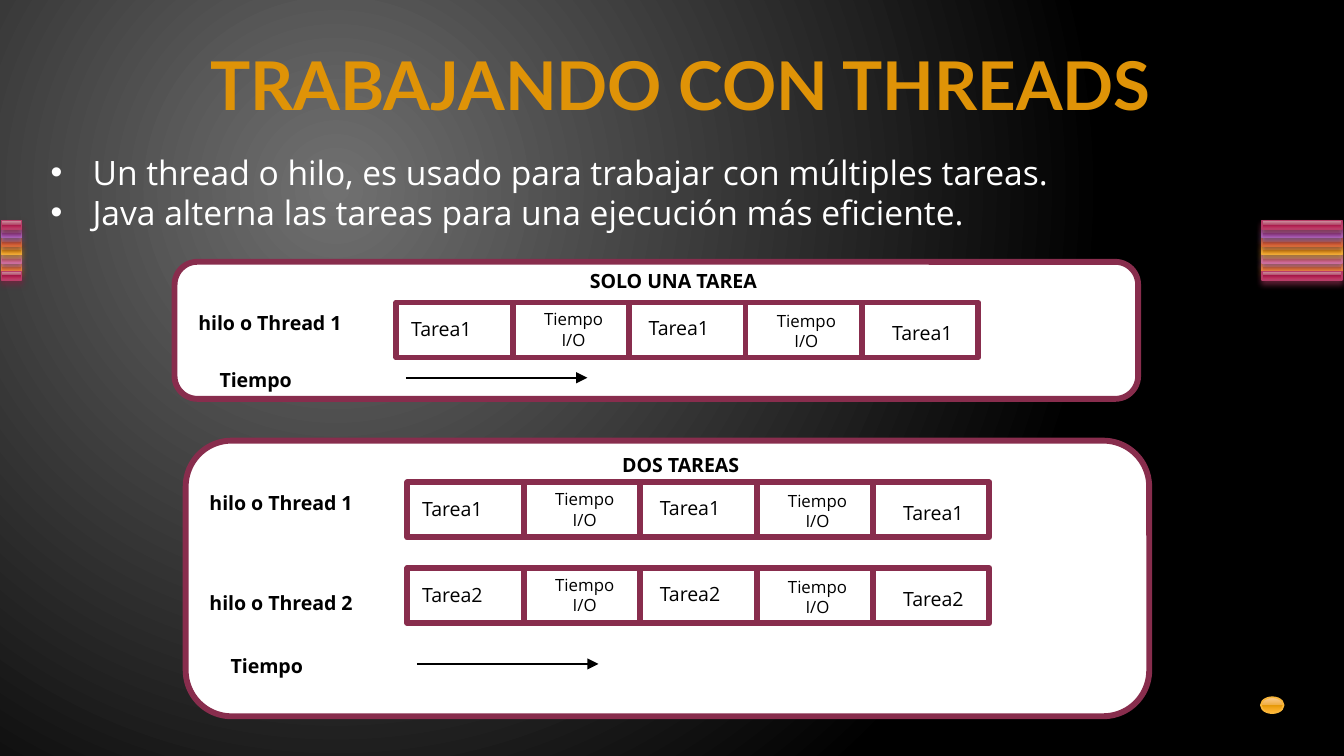
import dataclasses

import pptx
import pptx.dml.color
import pptx.enum.shapes
import pptx.enum.text
import pptx.oxml
import pptx.oxml.ns
import pptx.util

Cm = pptx.util.Cm
Pt = pptx.util.Pt
RGB = pptx.dml.color.RGBColor.from_string
qn = pptx.oxml.ns.qn
SHAPE = pptx.enum.shapes.MSO_SHAPE
CENTER = pptx.enum.text.PP_ALIGN.CENTER
A_NS = 'xmlns:a="http://schemas.openxmlformats.org/drawingml/2006/main"'


@dataclasses.dataclass(frozen=True)
class Theme:
    """Colours, fonts and type sizes of the slide."""
    white: str = "FFFFFF"
    black: str = "000000"
    glow: str = "707070"
    border: str = "882D4D"
    title: str = "DF9307"
    title_font: str = "Lato"
    font: str = "Open Sans"
    title_size: float = 36
    body_size: float = 18
    label_size: float = 10.5
    small_size: float = 9
    border_width: float = 3.15
    thin_width: float = 0.9


T = Theme()
POSITIONS = (0, 49, 49, 92, 100)
# Name: (gradient colours, line, shadow)
GLOSSY = {
    "crimson": ("CE94A2 B34869 A61749 C13764 CA5D7C", "B83D68", "722640"),
    "purple": ("C6A2D0 A666B4 8F3EA1 AD5DBF BA76CA", "AC66BB", "6A3F73"),
    "rust": ("E7A493 D66B42 CC4809 E9642C F07B55", "DE6C36", "894321"),
    "amber": ("FBCC93 EFAE43 E59807 FFB432 FFBE5F", "F9B639", "9A7023"),
    "pink": ("DDA4C1 C66B9D B34181 D361A0 DC79AE", "CF6DA4", "804365"),
    "orange": ("FBB494 F08745 E5670B FF8736 FF9961", "FA8D3D", "9A5726"),
}
STRIPES = ("crimson", "purple", "rust", "amber", "pink", "orange", "crimson")
CELL_W, CELL_H = 2.2, 1.04
# Offsets of the cell captions from the row's corner
TASK_OFFSETS = ((0.03, 0.15), (4.52, 0.13), (9.12, 0.23))
WAIT_OFFSETS = ((2.41, 0), (6.81, 0.03))


def add_xml(parent, xml):
    """Append an XML element in the drawing namespace."""
    parent.append(pptx.oxml.parse_xml(xml.replace("/>", f" {A_NS}/>", 1)
                                      if xml.count("<") == 1
                                      else xml.replace(">", f" {A_NS}>", 1)))


def set_gradient(fill, parent, stops, direction):
    """Give a fill its gradient stops and its direction."""
    fill.gradient()
    items = "".join(f'<a:gs pos="{pos * 1000}"><a:srgbClr val="{color}"/></a:gs>'
                    for pos, color in stops)
    xml = f"<a:gradFill {A_NS}><a:gsLst>{items}</a:gsLst>{direction}</a:gradFill>"
    parent.replace(parent.find(qn("a:gradFill")), pptx.oxml.parse_xml(xml))


def set_background(s):
    """Paint the dark background with its soft glow."""
    fill = s.background.fill
    fill.solid()
    bg = s._element.cSld.find(".//" + qn("p:bgPr"))
    set_gradient(fill, bg, ((0, T.glow), (100, T.black)),
                 '<a:path path="circle"><a:fillToRect l="50000" t="50000" '
                 'r="100000" b="100000"/></a:path>')


def add_box(s, kind, x, y, w, h, line=T.border, width=T.border_width):
    """Add a white shape with a coloured outline."""
    sp = s.shapes.add_shape(kind, Cm(x), Cm(y), Cm(w), Cm(h))
    sp.shadow.inherit = False
    sp.fill.solid()
    sp.fill.fore_color.rgb = RGB(T.white)
    sp.line.color.rgb = RGB(line)
    sp.line.width = Pt(width)
    return sp


def add_glossy(s, kind, x, y, w, h, name, shadow=True):
    """Add a glossy shape, with a shadow if wanted."""
    colors, line, shade = GLOSSY[name]
    sp = add_box(s, kind, x, y, w, h, line, T.thin_width)
    spPr = sp._element.spPr
    set_gradient(sp.fill, spPr, zip(POSITIONS, colors.split()),
                 '<a:lin ang="5400000" scaled="0"/>')
    if shadow:
        add_xml(spPr.find(qn("a:effectLst")),
                '<a:outerShdw blurRad="39370" dist="25400" dir="5400000" '
                f'rotWithShape="0"><a:srgbClr val="{shade}">'
                '<a:alpha val="83000"/></a:srgbClr></a:outerShdw>')


def add_stripes(s, x, w):
    """Add a stack of seven coloured stripes."""
    for i in (5, 4, 3, 2, 1, 0, 6):
        add_glossy(s, SHAPE.RECTANGLE, x, 4.17 + 0.16 * i, w, 0.16, STRIPES[i])


def add_text(s, lines, x, y, w, h, size=T.label_size, color=T.black,
             font=T.font, bold=False, align=None, bullet=False):
    """Add a wrapping text box with one paragraph per line."""
    tf = s.shapes.add_textbox(Cm(x), Cm(y), Cm(w), Cm(h)).text_frame
    tf.word_wrap = True
    look = {"name": font, "size": Pt(size), "bold": bold}
    for i, line in enumerate(lines):
        p = tf.paragraphs[0] if i == 0 else tf.add_paragraph()
        p.alignment = align
        r = p.add_run()
        r.text = line
        for key, value in look.items():
            setattr(r.font, key, value)
        r.font.color.rgb = RGB(color)
        if bullet:
            pPr = p._p.get_or_add_pPr()
            for key, value in {"marL": Cm(0.79), "indent": -Cm(0.79)}.items():
                pPr.set(key, str(value))
            add_xml(pPr, '<a:buFont typeface="Arial"/>')
            add_xml(pPr, '<a:buChar char="•"/>')


def add_arrow(s, x, y, length):
    """Add a thin horizontal arrow pointing right."""
    line = s.shapes.add_connector(pptx.enum.shapes.MSO_CONNECTOR.STRAIGHT,
                                  Cm(x), Cm(y), Cm(x + length), Cm(y))
    line.line.color.rgb = RGB(T.black)
    line.line.width = Pt(T.thin_width)
    add_xml(line.line._get_or_add_ln(), '<a:tailEnd type="triangle"/>')
    add_xml(line._element.spPr, "<a:effectLst/>")


def add_thread(s, number, panel_x, y, label_dy):
    """Add one thread: its label and five cells of work and waiting."""
    x = panel_x + 4.19
    for i in range(5):
        add_box(s, SHAPE.RECTANGLE, x + i * CELL_W, y, CELL_W, CELL_H)
    add_text(s, [f"hilo o Thread {number}"], panel_x + 0.2, y + label_dy,
             3.81, 0.71, bold=True)
    for dx, dy in TASK_OFFSETS:
        add_text(s, [f"Tarea{number}"], x + dx, y + dy, 1.88, 0.71)
    for dx, dy in WAIT_OFFSETS:
        add_text(s, ["Tiempo I/O"], x + dx, y + dy, 1.88, 1.02,
                 size=T.small_size, align=CENTER)


def add_panel(s, heading, heading_at, x, y, h, threads, time_y):
    """Add a panel with its heading, threads and time arrow."""
    add_box(s, SHAPE.ROUNDED_RECTANGLE, x, y, 18.21, h)
    for number, (row_y, label_dy) in enumerate(threads, 1):
        add_thread(s, number, x, row_y, label_dy)
    add_text(s, ["Tiempo"], x + 0.6, time_y, 1.96, 0.71, bold=True)
    add_arrow(s, x + 4.37, time_y + 0.31, 3.43)
    add_text(s, [heading], *heading_at, 3.81, 0.71, bold=True)


def main():
    """Build the slide and save it."""
    prs = pptx.Presentation()
    prs.slide_width, prs.slide_height = Cm(25.4), Cm(14.29)
    s = prs.slides.add_slide(prs.slide_layouts[6])
    set_background(s)
    add_stripes(s, 0.03, 0.38)
    add_stripes(s, 23.85, 1.52)
    add_glossy(s, SHAPE.OVAL, 23.83, 13.18, 0.43, 0.3, "amber", shadow=False)
    add_text(s, ["TRABAJANDO CON THREADS"], 2.49, 0.69, 20.75, 1.65,
             size=T.title_size, color=T.title, font=T.title_font, bold=True,
             align=CENTER)
    add_text(s, ["Un thread o hilo, es usado para trabajar con múltiples tareas.",
                 "Java alterna las tareas para una ejecución más eficiente."],
             0.71, 2.74, 23.01, 2.57, size=T.body_size, color=T.white,
             bullet=True)
    add_panel(s, "SOLO UNA TAREA", (10.9, 4.95), 3.3, 4.95, 2.59,
              [(5.72, 0.03)], 6.83)
    add_panel(s, "DOS TAREAS", (11.51, 8.43), 3.51, 8.33, 5.21,
              [(9.12, 0.03), (10.74, 0.3)], 12.24)
    prs.save("out.pptx")


if __name__ == "__main__":
    main()
